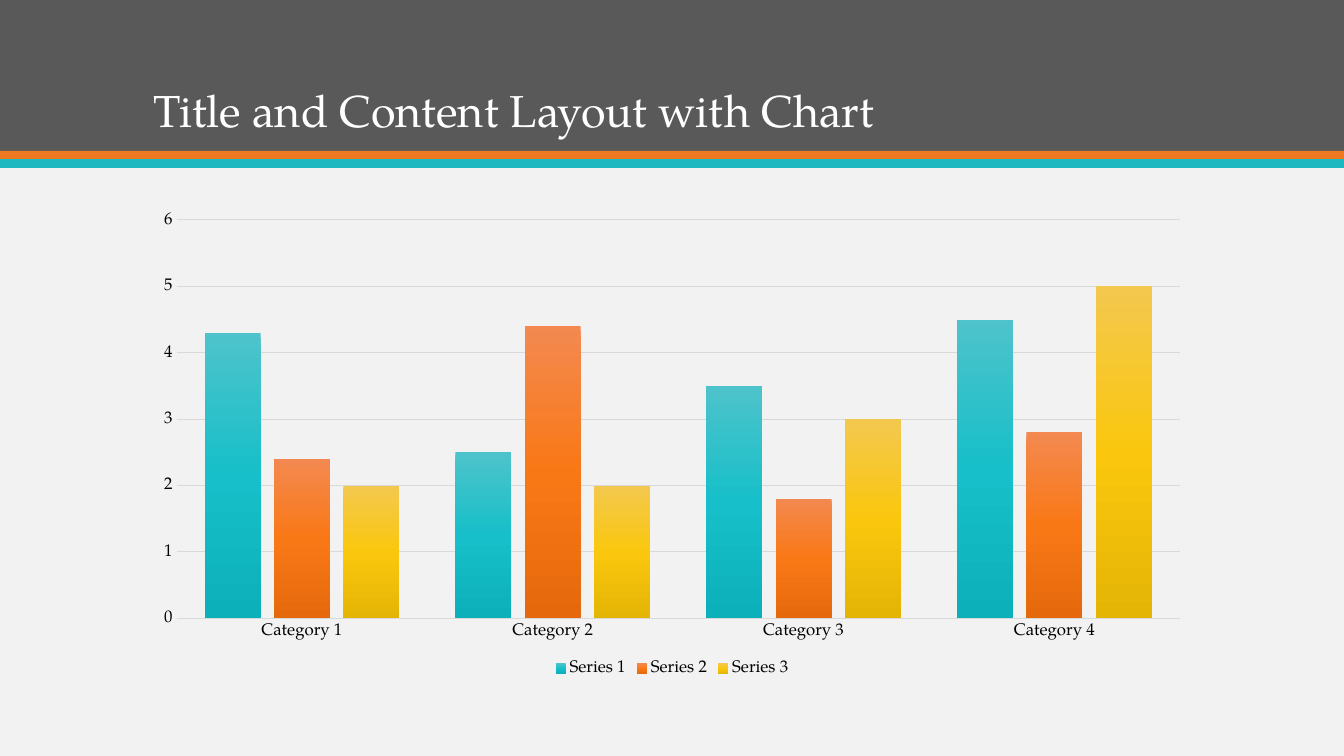
from pptx import Presentation
from pptx.chart.data import CategoryChartData as Data
from pptx.dml.color import RGBColor as Color
from pptx.enum.chart import XL_CHART_TYPE as Kind, XL_LEGEND_POSITION as Spot, XL_TICK_MARK as Tick
from pptx.enum.shapes import MSO_SHAPE as Shape
from pptx.enum.text import MSO_ANCHOR as Anchor, MSO_AUTO_SIZE as Fit, PP_ALIGN as Align
from pptx.oxml import parse_xml
from pptx.oxml.ns import nsdecls
from pptx.util import Pt

SCALE = 914400 / 100.8
FACE = "TeX Gyre Pagella"
WHITE, BLACK, GRID = "FFFFFF", "000000", "D9D9D9"
BANDS = [(0, 151, "595959"), (151, 8, "EF7920"), (159, 9, "1EB8C1")]
GROUPS = [f"Category {n}" for n in range(1, 5)]
SERIES = [
    ("Series 1", (4.3, 2.5, 3.5, 4.5), ("4EC3CB", "16BFC9", "0CB0BA")),
    ("Series 2", (2.4, 4.4, 1.8, 2.8), ("F38950", "F97816", "E5690C")),
    ("Series 3", (2, 2, 3, 5), ("F3C84E", "FAC70E", "E5B506")),
]


def px(*nums):
    return [round(n * SCALE) for n in nums]


def rgb(code):
    return Color.from_string(code)


def style(font, size, color):
    font.name, font.size, font.bold = FACE, Pt(size), False
    font.color.rgb = rgb(color)


def write(frame, text, size=12, color=BLACK, align=Align.LEFT, anchor=Anchor.TOP, space=1.0):
    frame.word_wrap, frame.auto_size = True, Fit.NONE
    frame.vertical_anchor = anchor
    para = frame.paragraphs[0]
    para.alignment, para.line_spacing = align, space
    run = para.add_run()
    run.text = text
    style(run.font, size, color)


def band(slide, top, high, color):
    bar = slide.shapes.add_shape(Shape.RECTANGLE, *px(0, top, 1344, high))
    bar.shadow.inherit = False
    bar.fill.solid()
    bar.fill.fore_color.rgb = rgb(color)
    bar.line.fill.background()


def head(slide, text):
    title = slide.shapes.title
    title.left, title.top, title.width, title.height = px(143, 28, 1058, 114)
    write(title.text_frame, text, size=32, color=WHITE, anchor=Anchor.BOTTOM, space=0.9)
    slide.shapes._spTree.append(title._element)


def blend(series, colors):
    stops = "".join(
        f'<a:gs pos="{n * 50000}"><a:srgbClr val="{code}"/></a:gs>'
        for n, code in enumerate(colors)
    )
    grad = parse_xml(
        f'<a:gradFill {nsdecls("a")} rotWithShape="1"><a:gsLst>{stops}</a:gsLst>'
        '<a:lin ang="5400000" scaled="0"/></a:gradFill>'
    )
    series.format.line.fill.background()
    series._element.get_or_add_spPr().insert(0, grad)


def rule(line):
    line.color.rgb = rgb(GRID)
    line.width = Pt(0.75)


def axis(item):
    item.major_tick_mark = item.minor_tick_mark = Tick.NONE
    style(item.tick_labels.font, 12, BLACK)


def columns(slide):
    data = Data()
    data.categories = GROUPS
    for name, vals, _ in SERIES:
        data.add_series(name, vals)
    box = px(143, 202, 1058, 479)
    chart = slide.shapes.add_chart(Kind.COLUMN_CLUSTERED, *box, data).chart
    style(chart.font, 10, "595959")
    chart.has_title = False
    chart.has_legend = True
    chart.legend.position = Spot.BOTTOM
    chart.legend.include_in_layout = False
    style(chart.legend.font, 12, BLACK)
    plot = chart.plots[0]
    plot.gap_width, plot.overlap, plot.vary_by_categories = 100, -24, False
    for series, (_, _, colors) in zip(plot.series, SERIES):
        blend(series, colors)
    cats, vals = chart.category_axis, chart.value_axis
    axis(cats)
    axis(vals)
    rule(cats.format.line)
    vals.format.line.fill.background()
    vals.minimum_scale, vals.maximum_scale, vals.major_unit = 0, 6, 1
    vals.has_major_gridlines = True
    rule(vals.major_gridlines.format.line)


def main():
    deck = Presentation()
    deck.slide_width, deck.slide_height = px(1344, 756)
    slide = deck.slides.add_slide(deck.slide_layouts[5])
    slide.background.fill.solid()
    slide.background.fill.fore_color.rgb = rgb("F2F2F2")
    for top, high, color in BANDS:
        band(slide, top, high, color)
    head(slide, "Title and Content Layout with Chart")
    columns(slide)
    deck.save("out.pptx")


main()
